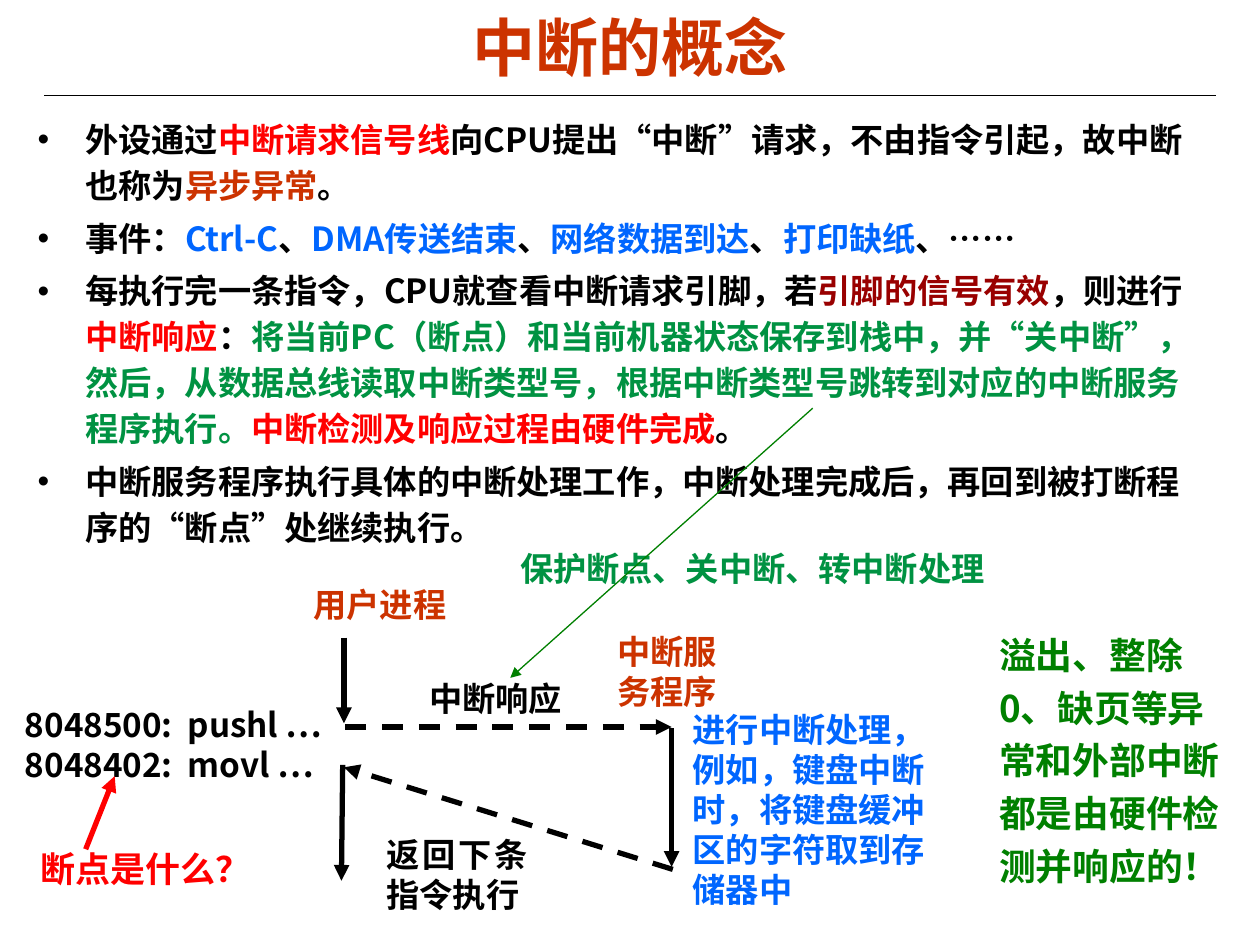
from pptx import Presentation
from pptx.dml.color import RGBColor
from pptx.enum.dml import MSO_LINE
from pptx.enum.shapes import MSO_CONNECTOR
from pptx.enum.text import MSO_ANCHOR, PP_ALIGN
from pptx.oxml.ns import qn
from pptx.util import Pt
from lxml.etree import SubElement

PX = 9144  # EMU; 100 px to the inch
THEME = {
    "black": "000000", "rust": "CC3300", "red": "FF0000", "blue": "0066FF",
    "maroon": "990000", "jade": "009242", "green": "008000",
    "title": 36, "aside": 21, "question": 20, "text": 19,
    "latin": "Arial", "cjk": "Noto Sans CJK SC",
}

TITLE = "中断的概念"
# Each bullet is a list of (text, colour) runs.
BULLETS = [
    [("外设通过", "black"), ("中断请求信号线", "red"),
     ("向CPU提出“中断”请求，不由指令引起，故中断也称为", "black"),
     ("异步异常", "rust"), ("。", "black")],
    [("事件：", "black"), ("Ctrl-C", "blue"), ("、", "black"),
     ("DMA传送结束", "blue"), ("、", "black"), ("网络数据到达", "blue"),
     ("、", "black"), ("打印缺纸", "blue"), ("、……", "black")],
    [("每执行完一条指令，CPU就查看中断请求引脚，若", "black"),
     ("引脚的信号有效", "maroon"), ("，则进行", "black"),
     ("中断响应", "red"), ("：", "black"),
     ("将当前PC（断点）和当前机器状态保存到栈中，并“关中断”，然后，从数据总线读取"
      "中断类型号，根据中断类型号跳转到对应的中断服务程序执行。", "jade"),
     ("中断检测及响应过程由硬件完成", "red"), ("。", "black")],
    [("中断服务程序执行具体的中断处理工作，中断处理完成后，"
      "再回到被打断程序的“断点”处继续执行。", "black")],
]
# (left, top, width, height), lines, colour, other format
LABELS = [
    ((793, 495, 177, 210), ["溢出、整除0、缺页等异常和外部中断都是由硬件检测并响应的！"],
     "green", {"size": "aside", "spacing": 1.2, "inset": (0, 0)}),
    ((239, 464, 141, 23), ["用户进程"], "rust", {"inset": (10, 0)}),
    ((480, 496, 108, 72), ["中断服务程序"], "rust", {}),
    ((331, 533, 125, 41), ["中断响应"], "black", {}),
    ((540, 558, 224, 168), ["进行中断处理，例如，键盘中断时，将键盘缓冲区的字符取到存储器中"],
     "blue", {}),
    ((297, 657, 132, 73), ["返回下条指令执行"], "black", {"align": PP_ALIGN.JUSTIFY}),
    ((10, 554, 290, 73), ["8048500:  pushl …", "8048402:  movl …"], "black", {}),
    ((22, 668, 208, 43), ["断点是什么？"], "red", {"size": "question", "font": "latin"}),
    ((403, 430, 440, 42), ["保护断点、关中断、转中断处理"], "jade", {"font": "latin"}),
]
# start, end, colour, width in points, dashed
ARROWS = [
    ((273, 506), (273, 574), "black", 3, False),
    ((274, 577), (533, 577), "black", 3, True),
    ((533, 578), (533, 688), "black", 3, False),
    ((534, 690), (273, 609), "black", 3, True),
    ((272, 607), (271, 699), "black", 3, False),
    ((68, 674), (91, 616), "red", 3, False),
    ((645, 324), (405, 538), "green", 0.75, False),
]


def color(name):
    return RGBColor.from_string(THEME[name])


def write(tf, paragraphs, size="text", font="cjk", align=PP_ALIGN.LEFT,
          spacing=None, before=0, bullet=False, inset=(10, 5)):
    """Fill a text frame with paragraphs, each a list of (text, colour) runs."""
    tf.word_wrap = True
    tf.margin_left = tf.margin_right = inset[0] * PX
    tf.margin_top = tf.margin_bottom = inset[1] * PX
    for i, runs in enumerate(paragraphs):
        p = tf.add_paragraph() if i else tf.paragraphs[0]
        p.alignment = align
        p.space_before = Pt(before)
        if spacing:
            p.line_spacing = spacing
        if bullet:
            pPr = p._p.get_or_add_pPr()
            pPr.set("marL", str(38 * PX))
            pPr.set("indent", str(-38 * PX))
            SubElement(pPr, qn("a:buFont")).set("typeface", THEME["latin"])
            SubElement(pPr, qn("a:buChar")).set("char", "•")
        for text, tint in runs:
            r = p.add_run()
            r.text = text
            r.font.size = Pt(THEME[size])
            r.font.bold = True
            r.font.name = THEME[font]
            r.font.color.rgb = color(tint)
            SubElement(r._r.get_or_add_rPr(), qn("a:ea")).set("typeface", THEME["cjk"])


def add_text(s, box, paragraphs, **fmt):
    sp = s.shapes.add_textbox(*(v * PX for v in box))
    write(sp.text_frame, paragraphs, **fmt)


def add_line(s, start, end, tint, width, dashed=False, arrow=True):
    sp = s.shapes.add_connector(MSO_CONNECTOR.STRAIGHT, *(v * PX for v in start + end))
    sp.line.color.rgb = color(tint)
    sp.line.width = Pt(width)
    if dashed:
        sp.line.dash_style = MSO_LINE.DASH
    if arrow:
        SubElement(sp.line._get_or_add_ln(), qn("a:tailEnd")).set("type", "triangle")
    SubElement(sp._element.spPr, qn("a:effectLst"))


def main():
    prs = Presentation()
    prs.slide_width, prs.slide_height = 1000 * PX, 750 * PX
    s = prs.slides.add_slide(prs.slide_layouts[5])

    title = s.shapes.title
    title.left, title.top, title.width, title.height = (v * PX for v in (50, 6, 900, 61))
    title.text_frame.vertical_anchor = MSO_ANCHOR.MIDDLE
    write(title.text_frame, [[(TITLE, "rust")]], size="title", font="latin",
          align=PP_ALIGN.CENTER)
    add_line(s, (35, 76), (965, 76), "black", 0.75, arrow=False)

    add_text(s, (20, 85, 949, 368), BULLETS, spacing=1.15, before=4, bullet=True)
    for box, lines, tint, fmt in LABELS:
        add_text(s, box, [[(line, tint)] for line in lines], **fmt)
    for arrow in ARROWS:
        add_line(s, *arrow)
    prs.save("out.pptx")


if __name__ == "__main__":
    main()
